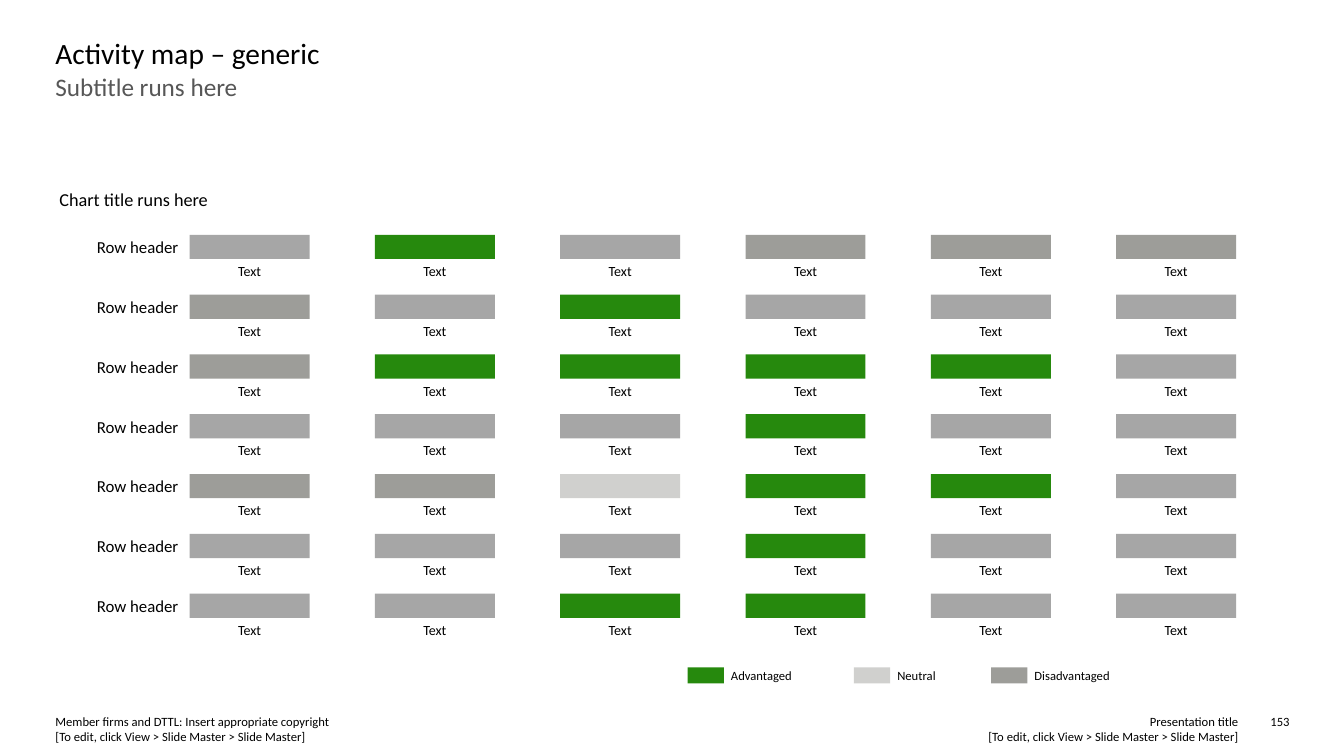
from copy import deepcopy

from pptx import Presentation
from pptx import util as u
from pptx.dml.color import RGBColor
from pptx.enum import shapes, text
from pptx.oxml.ns import qn

COLORS = {
    "text": "000000",
    "subtitle": "575757",
    "advantaged": "26890D",
    "neutral": "D0D0CE",
    "disadvantaged": "9D9D99",
    "standard": "A6A6A6",
}
RATINGS = {"A": "advantaged", "N": "neutral", "D": "disadvantaged", "S": "standard"}
ACTIVITIES = ["SASDDD", "DSASSS", "DAAAAS", "SSSASS", "DDNAAS", "SSSASS", "SSAASS"]
LEGEND = [("Advantaged", 68.2, 6.1), ("Neutral", 84.7, 3.8), ("Disadvantaged", 98.3, 7.5)]
EDIT_HINT = "[To edit, click View > Slide Master > Slide Master]"
RIGHT = text.PP_ALIGN.RIGHT
CENTER = text.PP_ALIGN.CENTER
MIDDLE = text.MSO_ANCHOR.MIDDLE


class ActivityMap:
    """Draws on a slide grid whose columns and rows are a tenth of an inch."""

    font = "Calibri"
    cell = u.Inches(0.1)
    first_column, first_row = 18.8, 23.3
    column_step, row_step = 91.9 / 5, 35.6 / 6

    def __init__(self, deck):
        self.slide = deck.slides.add_slide(deck.slide_layouts[6])

    def place(self, *lengths):
        return [round(length * self.cell) for length in lengths]

    def label(self, words, left, top, width, height, size, color="text",
              align=text.PP_ALIGN.LEFT, anchor=text.MSO_ANCHOR.TOP, wrap=True):
        box = self.slide.shapes.add_textbox(*self.place(left, top, width, height))
        frame = box.text_frame
        frame_format = {"margin_left": 0, "margin_right": 0, "margin_top": 0,
                        "margin_bottom": 0, "vertical_anchor": anchor, "word_wrap": wrap}
        for name, value in frame_format.items():
            setattr(frame, name, value)
        para = frame.paragraphs[0]
        para.text = words
        para.alignment = align
        for span in para.runs:
            for name, value in {"name": self.font, "size": u.Pt(size)}.items():
                setattr(span.font, name, value)
            span.font.color.rgb = RGBColor.from_string(COLORS[color])
        for line_break in para._p.findall(qn("a:br")):
            line_break.append(deepcopy(para.runs[0]._r.rPr))

    def bar(self, color, left, top, width, height):
        box = self.slide.shapes.add_shape(
            shapes.MSO_SHAPE.RECTANGLE, *self.place(left, top, width, height))
        box.shadow.inherit = False
        box.fill.solid()
        box.fill.fore_color.rgb = RGBColor.from_string(COLORS[color])
        box.line.fill.background()

    def activity_row(self, row, ratings):
        top = self.first_row + row * self.row_step
        self.label("Row header", 1.7, top + 0.2, 16, 2, 12, align=RIGHT, anchor=MIDDLE)
        for column, rating in enumerate(ratings):
            left = self.first_column + column * self.column_step
            self.bar(RATINGS[rating], left, top, 11.9, 2.4)
            self.label("Text", left + 1.5, top + 2.75, 8.9, 2, 10, align=CENTER, wrap=False)

    def legend_entry(self, name, left, width):
        self.bar(name.lower(), left, 66.2, 3.6, 1.6)
        self.label(name, left + 4.3, 66.3, width, 1.5, 9, anchor=MIDDLE, wrap=False)


def main():
    deck = Presentation()
    deck.slide_width, deck.slide_height = u.Inches(13.33), u.Inches(7.5)
    page = ActivityMap(deck)
    page.label("Activity map – generic", 5.5, 3.5, 122.4, 3.7, 21)
    page.label("Subtitle runs here", 5.5, 7.1, 122.4, 8.3, 18, "subtitle")
    page.label("Chart title runs here", 5.9, 18.7, 91.3, 2.2, 13)
    for row, ratings in enumerate(ACTIVITIES):
        page.activity_row(row, ratings)
    for entry in LEGEND:
        page.legend_entry(*entry)
    page.label("Member firms and DTTL: Insert appropriate copyright\v" + EDIT_HINT,
               5.5, 70.8, 58.6, 3, 9)
    page.label("Presentation title\v" + EDIT_HINT, 69.3, 70.8, 53.5, 3, 9, align=RIGHT)
    page.label("153", 124.5, 70.8, 3.4, 1.5, 9, align=RIGHT)
    deck.save("out.pptx")


if __name__ == "__main__":
    main()
